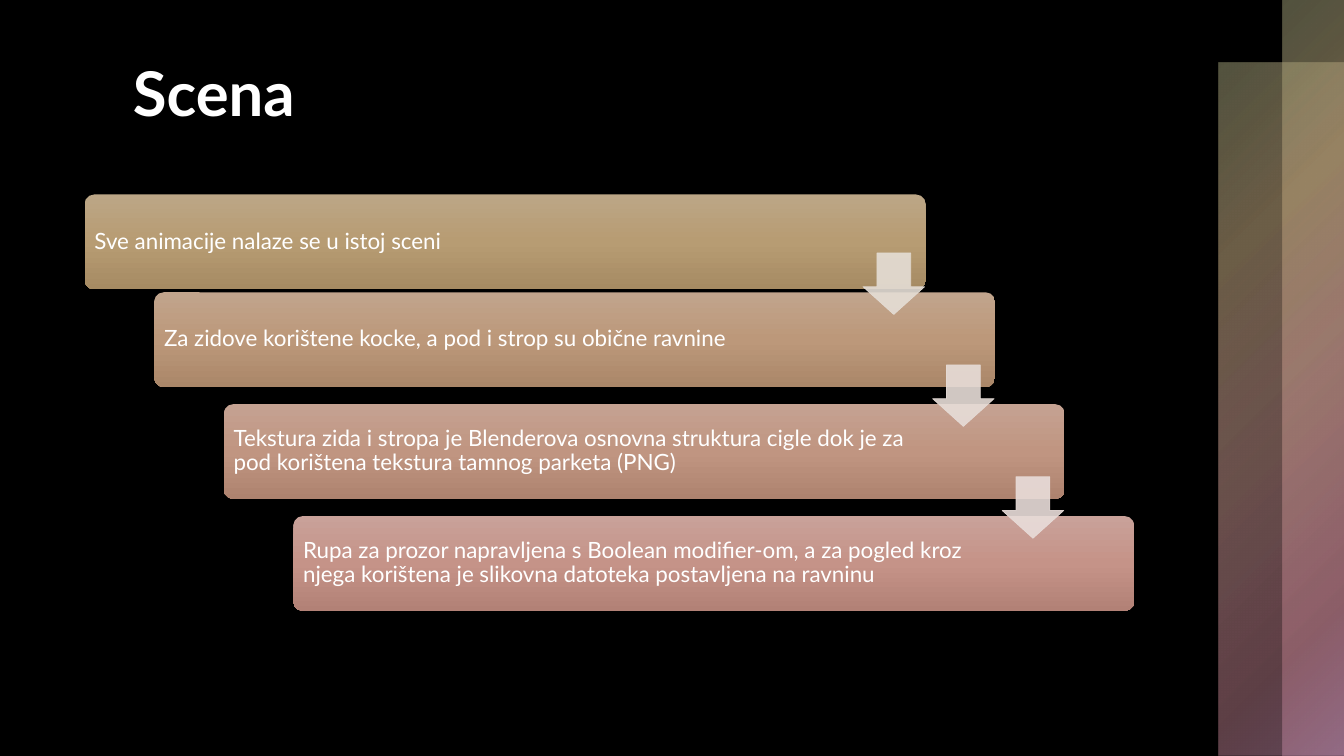
from lxml.etree import SubElement
from pptx import Presentation
from pptx.dml.color import RGBColor
from pptx.enum.shapes import MSO_SHAPE
from pptx.enum.text import MSO_ANCHOR, PP_ALIGN
from pptx.oxml.ns import qn
from pptx.util import Inches, Pt

FONT = "Lato"
COLORS = {"background": "000000", "text": "FFFFFF"}
PANEL_STOPS = [(0, "A3A37A", 50), (25, "B49B76", 60), (50, "C2958B", 55),
               (81, "BB7D8C", 50), (99, "C590B2", 50)]
PANELS = [(12.09, 0.62, 1.24, 6.88), (12.72, 0, 0.62, 7.5)]

# Text, right inset, gradient from top to bottom, colour of the arrow below
STEPS = [
    ("Sve animacije nalaze se u istoj sceni",
     1.1, ("BCA686", "B79C73", "A68B63"), "E5DED6"),
    ("Za zidove korištene kocke, a pod i strop su obične ravnine",
     1.38, ("C1A48C", "BC987A", "AA8769"), "E7DDD8"),
    ("Tekstura zida i stropa je Blenderova osnovna struktura cigle dok je za "
     "pod korištena tekstura tamnog parketa (PNG)",
     1.38, ("C5A292", "C09581", "AE836F"), "E9DDDA"),
    ("Rupa za prozor napravljena s Boolean modifier-om, a za pogled kroz "
     "njega korištena je slikovna datoteka postavljena na ravninu",
     1.38, ("C9A199", "C59388", "B28176"), None),
]
CARD_LEFT, CARD_TOPS = 0.84, (1.93, 2.9, 4.01, 5.12)
CARD_WIDTH, CARD_HEIGHT = 8.34, 0.94
ARROW_LEFT, ARROW_TOP, ARROW_SIZE = 8.56, 2.51, 0.61
STEP_RIGHT, STEP_DOWN = 0.69, 1.11
INSET = 0.07


def add_alpha(color, percent):
    SubElement(color, qn("a:alpha")).set("val", str(percent * 1000))


def set_gradient(shape, stops, circular=False):
    """Fill from the top down, or in circles from the top left corner."""
    shape.fill.background()
    empty_fill = shape.element.spPr.find(qn("a:noFill"))
    gradient = SubElement(shape.element.spPr, qn("a:gradFill"))
    gradient.set("rotWithShape", "1")
    stop_list = SubElement(gradient, qn("a:gsLst"))
    for position, color, opacity in stops:
        stop = SubElement(stop_list, qn("a:gs"))
        stop.set("pos", str(position * 1000))
        value = SubElement(stop, qn("a:srgbClr"))
        value.set("val", color)
        if opacity < 100:
            add_alpha(value, opacity)
    if circular:
        circle = SubElement(gradient, qn("a:path"))
        circle.set("path", "circle")
        focus = SubElement(circle, qn("a:fillToRect"))
        focus.set("r", "100000")
        focus.set("b", "100000")
    else:
        direction = SubElement(gradient, qn("a:lin"))
        direction.set("ang", "5400000")
        direction.set("scaled", "0")
    empty_fill.getparent().replace(empty_fill, gradient)


def add_block(slide, preset, left, top, width, height):
    block = slide.shapes.add_shape(
        preset, Inches(left), Inches(top), Inches(width), Inches(height))
    block.shadow.inherit = False
    block.line.fill.background()
    return block


def write(paragraph, words, size, bold=False):
    run = paragraph.add_run()
    run.text = words
    run.font.name = FONT
    run.font.size = Pt(size)
    run.font.bold = bold
    run.font.color.rgb = RGBColor.from_string(COLORS["text"])


def add_panel(slide, box):
    panel = add_block(slide, MSO_SHAPE.RECTANGLE, *box)
    set_gradient(panel, PANEL_STOPS, circular=True)


def add_title(slide, words):
    title = slide.shapes.add_textbox(
        Inches(1.22), Inches(0.5), Inches(10.37), Inches(1.7))
    title.text_frame.word_wrap = True
    write(title.text_frame.paragraphs[0], words, 44, bold=True)


def add_card(slide, left, top, words, right_inset, shades):
    card = add_block(slide, MSO_SHAPE.ROUNDED_RECTANGLE,
                     left, top, CARD_WIDTH, CARD_HEIGHT)
    card.adjustments[0] = 0.1
    set_gradient(card, [(50 * i, shade, 100) for i, shade in enumerate(shades)])
    frame = card.text_frame
    frame.word_wrap = True
    frame.vertical_anchor = MSO_ANCHOR.MIDDLE
    frame.margin_left = frame.margin_top = frame.margin_bottom = Inches(INSET)
    frame.margin_right = Inches(right_inset)
    paragraph = frame.paragraphs[0]
    paragraph.alignment = PP_ALIGN.LEFT
    paragraph.line_spacing = 0.9
    write(paragraph, words, 16)


def add_arrow(slide, left, top, color):
    arrow = add_block(slide, MSO_SHAPE.DOWN_ARROW,
                      left, top, ARROW_SIZE, ARROW_SIZE)
    arrow.adjustments[0] = 0.55
    arrow.adjustments[1] = 0.45
    arrow.line.width = Pt(0.5)
    for paint in (arrow.fill, arrow.line.fill):
        paint.solid()
        paint.fore_color.rgb = RGBColor.from_string(color)
    for value in arrow.element.spPr.iter(qn("a:srgbClr")):
        add_alpha(value, 90)


def main():
    deck = Presentation()
    deck.slide_width, deck.slide_height = Inches(13.33), Inches(7.5)
    slide = deck.slides.add_slide(deck.slide_layouts[6])
    slide.background.fill.solid()
    slide.background.fill.fore_color.rgb = RGBColor.from_string(
        COLORS["background"])

    for box in PANELS:
        add_panel(slide, box)
    add_title(slide, "Scena")
    for i, (words, right_inset, shades, _) in enumerate(STEPS):
        add_card(slide, CARD_LEFT + i * STEP_RIGHT, CARD_TOPS[i],
                 words, right_inset, shades)
    for i, (_, _, _, arrow_color) in enumerate(STEPS[:-1]):
        add_arrow(slide, ARROW_LEFT + i * STEP_RIGHT,
                  ARROW_TOP + i * STEP_DOWN, arrow_color)
    deck.save("out.pptx")


if __name__ == "__main__":
    main()
